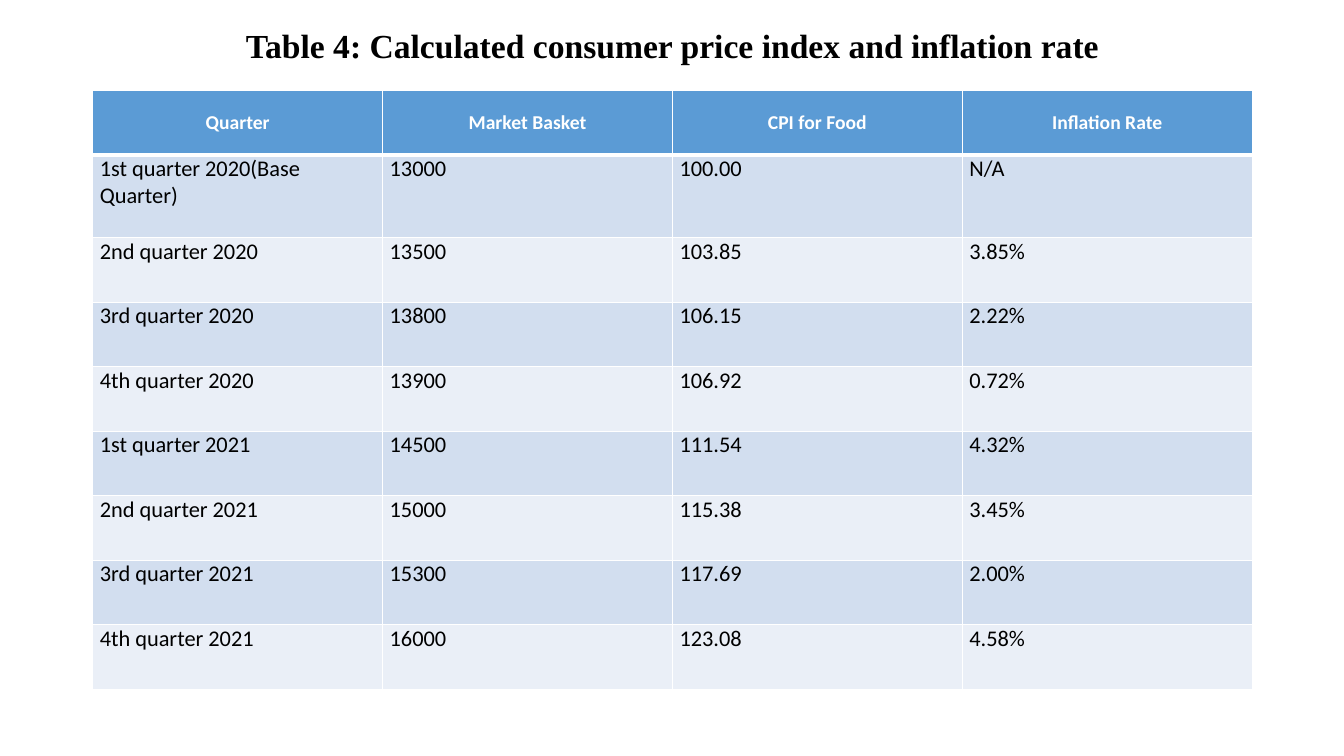
from pptx import Presentation
from pptx.dml.color import RGBColor
from pptx.enum.text import MSO_ANCHOR, PP_ALIGN
from pptx.util import Inches, Pt
from lxml.etree import SubElement
from pptx.oxml.ns import qn

TITLE = "Table 4: Calculated consumer price index and inflation rate"
ROWS = [
    ("Quarter", "Market Basket", "CPI for Food", "Inflation Rate"),
    ("1st quarter 2020(Base Quarter)", "13000", "100.00", "N/A"),
    ("2nd quarter 2020", "13500", "103.85", "3.85%"),
    ("3rd quarter 2020", "13800", "106.15", "2.22%"),
    ("4th quarter 2020", "13900", "106.92", "0.72%"),
    ("1st quarter 2021", "14500", "111.54", "4.32%"),
    ("2nd quarter 2021", "15000", "115.38", "3.45%"),
    ("3rd quarter 2021", "15300", "117.69", "2.00%"),
    ("4th quarter 2021", "16000", "123.08", "4.58%"),
]
WHITE = RGBColor(0xFF, 0xFF, 0xFF)
BLACK = RGBColor(0, 0, 0)
BLUE = RGBColor(0x5B, 0x9B, 0xD5)
BANDS = (RGBColor(0xEA, 0xEF, 0xF7), RGBColor(0xD2, 0xDE, 0xEF))
LEFT, WIDTH = Inches(0.92), Inches(11.5)
HIGH, TALL = Inches(0.64), Inches(0.82)


def write(frame, text, font, size, color, bold, align):
    para = frame.paragraphs[0]
    para.alignment = align
    run = para.add_run()
    run.text = text
    run.font.name = font
    run.font.size = Pt(size)
    run.font.color.rgb = color
    run.font.bold = bold


def edge(cell, side, width):
    line = SubElement(cell._tc.get_or_add_tcPr(), qn("a:ln" + side), w=str(Pt(width)))
    fill = SubElement(line, qn("a:solidFill"))
    SubElement(fill, qn("a:srgbClr"), val=str(WHITE))


def style(cell, row):
    cell.margin_left = cell.margin_right = Inches(0.07)
    cell.margin_top = cell.margin_bottom = 0
    cell.vertical_anchor = MSO_ANCHOR.TOP if row else MSO_ANCHOR.MIDDLE
    thick = {(0, "B"), (1, "T")}
    for side in "LRTB":
        edge(cell, side, 3 if (row, side) in thick else 1)
    cell.fill.solid()
    cell.fill.fore_color.rgb = BANDS[row % 2] if row else BLUE


def main():
    deck = Presentation()
    deck.slide_width, deck.slide_height = Inches(13.33), Inches(7.5)
    slide = deck.slides.add_slide(deck.slide_layouts[6])

    count = len(ROWS[0])
    height = HIGH * (len(ROWS) - 1) + TALL
    table = slide.shapes.add_table(
        len(ROWS), count, LEFT, Inches(0.9), WIDTH, height).table
    for col in table.columns:
        col.width = WIDTH // count
    for r, row in enumerate(ROWS):
        table.rows[r].height = TALL if r == 1 else HIGH
        for c, text in enumerate(row):
            cell = table.cell(r, c)
            style(cell, r)
            look = (16, BLACK, False, PP_ALIGN.LEFT) if r else (14, WHITE, True, PP_ALIGN.CENTER)
            write(cell.text_frame, text, "Calibri", *look)

    box = slide.shapes.add_textbox(LEFT, Inches(0.2), WIDTH, Inches(0.5))
    box.text_frame.word_wrap = True
    write(box.text_frame, TITLE, "Times New Roman", 24, BLACK, True, PP_ALIGN.CENTER)
    deck.save("out.pptx")


if __name__ == "__main__":
    main()
